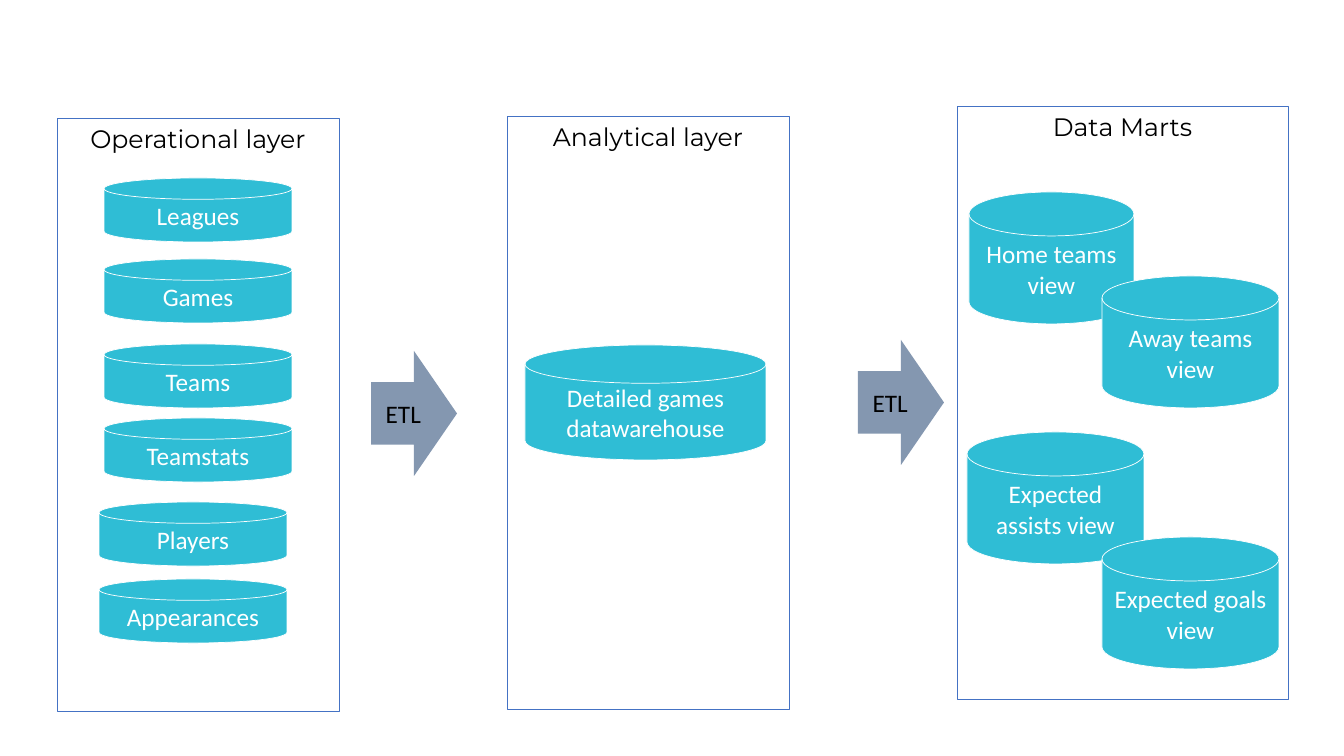
"""Build a slide showing the flow from operational tables to data marts."""
from pptx import Presentation
from pptx.dml.color import RGBColor
from pptx.enum.shapes import MSO_SHAPE
from pptx.enum.text import MSO_ANCHOR, PP_ALIGN
from pptx.util import Emu, Pt

RECT, ARROW = MSO_SHAPE.RECTANGLE, MSO_SHAPE.RIGHT_ARROW
DISK = MSO_SHAPE.FLOWCHART_MAGNETIC_DISK
TOP, MIDDLE, CENTER = MSO_ANCHOR.TOP, MSO_ANCHOR.MIDDLE, PP_ALIGN.CENTER
PX = 914400 / 100.8
TEAL, SLATE, BLUE, WHITE, BLACK = "2FBDD5", "8497B0", "4472C4", "FFFFFF", "000000"

FRAME_H = 593
LAYERS = [
    ("Operational layer", 57, 118, 282),
    ("Analytical layer", 507, 116, 282),
    ("Data Marts", 957, 106, 331),
]
TABLE_W, TABLE_H = 188, 64
TABLES = [
    ("Leagues", 104, 178),
    ("Games", 104, 259),
    ("Teams", 104, 344),
    ("Teamstats", 104, 418),
    ("Players", 99, 502),
    ("Appearances", 99, 579),
]
WAREHOUSE = ("Detailed games datawarehouse", 525, 345, 241, 115)
MART_H = 132
MARTS = [
    ("Home teams view", 969, 192, 165),
    ("Away teams view", 1102, 276, 177),
    ("Expected assists view", 967, 432, 177),
    ("Expected goals view", 1102, 537, 177),
]
ARROW_W, ARROW_H = 86, 125
ETL_STEPS = [("ETL", 371, 351), ("ETL", 858, 340)]


def px(n):
    return Emu(round(n * PX))


def rgb(value):
    return RGBColor.from_string(value)


def add_text(sp, text, font="Calibri", size=18, color=WHITE, anchor=MIDDLE):
    tf = sp.text_frame
    tf.word_wrap = True
    tf.vertical_anchor = anchor
    p = tf.paragraphs[0]
    p.alignment = CENTER
    r = p.add_run()
    r.text = text
    r.font.name, r.font.size = font, Pt(size)
    r.font.color.rgb = rgb(color)


def add_box(s, kind, text, x, y, w, h, fill=None, line=None, **fmt):
    sp = s.shapes.add_shape(kind, px(x), px(y), px(w), px(h))
    sp.shadow.inherit = False
    if fill:
        sp.fill.solid()
        sp.fill.fore_color.rgb = rgb(fill)
    else:
        sp.fill.background()
    if line:
        sp.line.color.rgb = rgb(line)
        sp.line.width = Pt(0.5)
    else:
        sp.line.fill.background()
    add_text(sp, text, **fmt)


prs = Presentation()
prs.slide_width, prs.slide_height = px(1344), px(756)
s = prs.slides.add_slide(prs.slide_layouts[6])

for name, x, y, w in LAYERS:
    add_box(s, RECT, name, x, y, w, FRAME_H, line=BLUE,
            font="Montserrat", color=BLACK, anchor=TOP)

disks = [(*table, TABLE_W, TABLE_H) for table in TABLES]
disks += [WAREHOUSE]
disks += [(*mart, MART_H) for mart in MARTS]
for disk in disks:
    add_box(s, DISK, *disk, fill=TEAL, line=WHITE)

for step in ETL_STEPS:
    add_box(s, ARROW, *step, ARROW_W, ARROW_H, fill=SLATE, color=BLACK)

prs.save("out.pptx")
